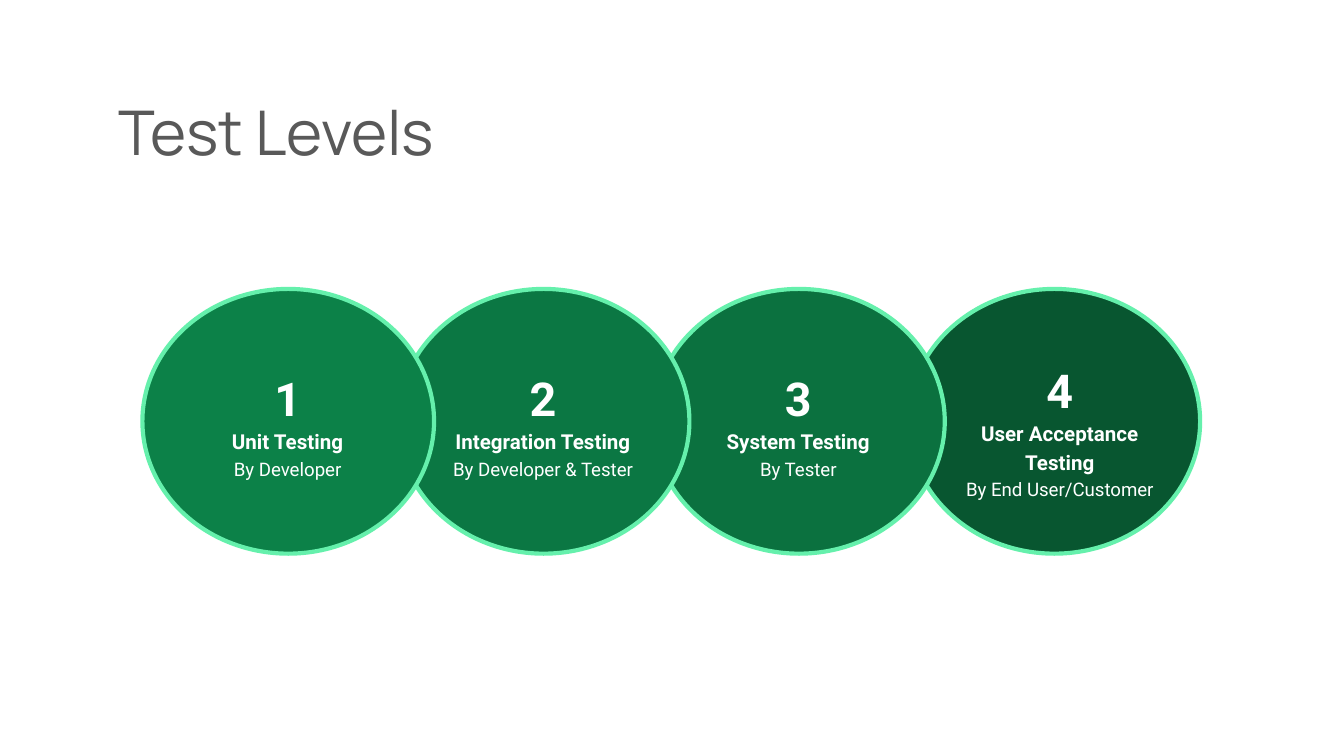
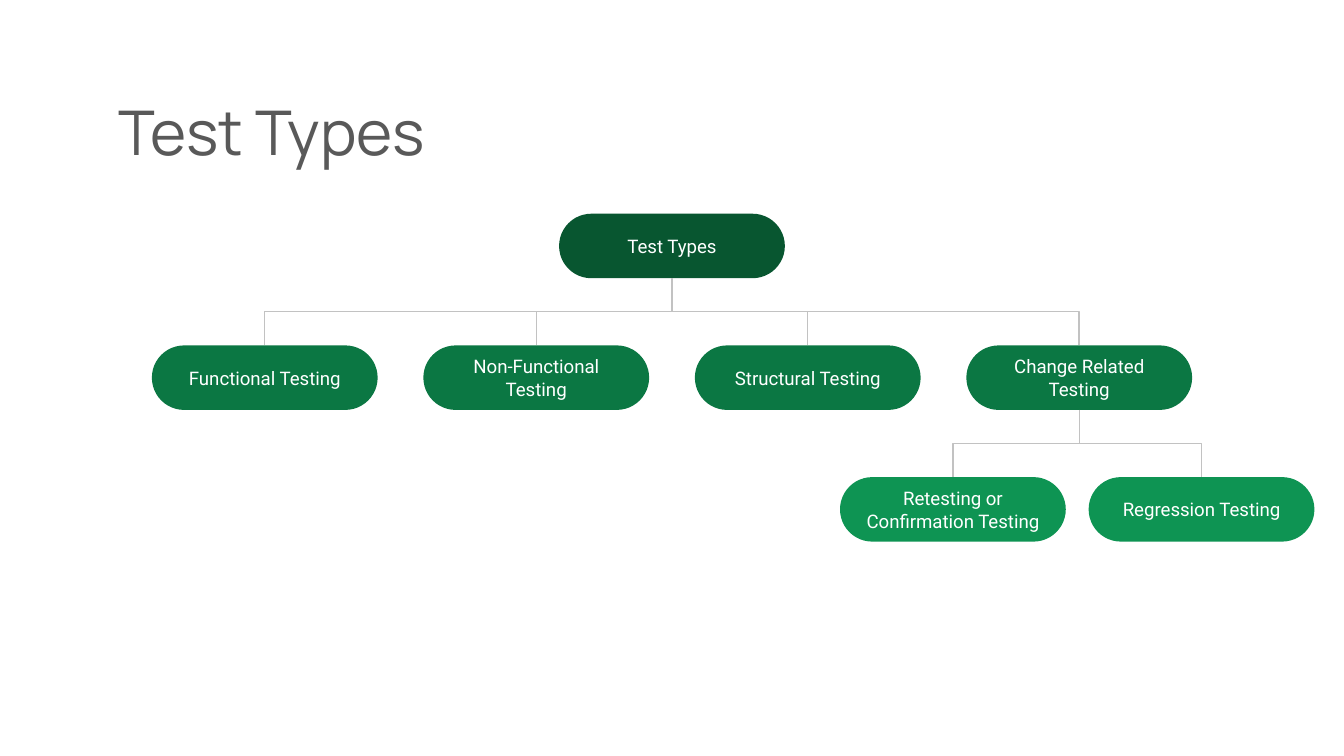
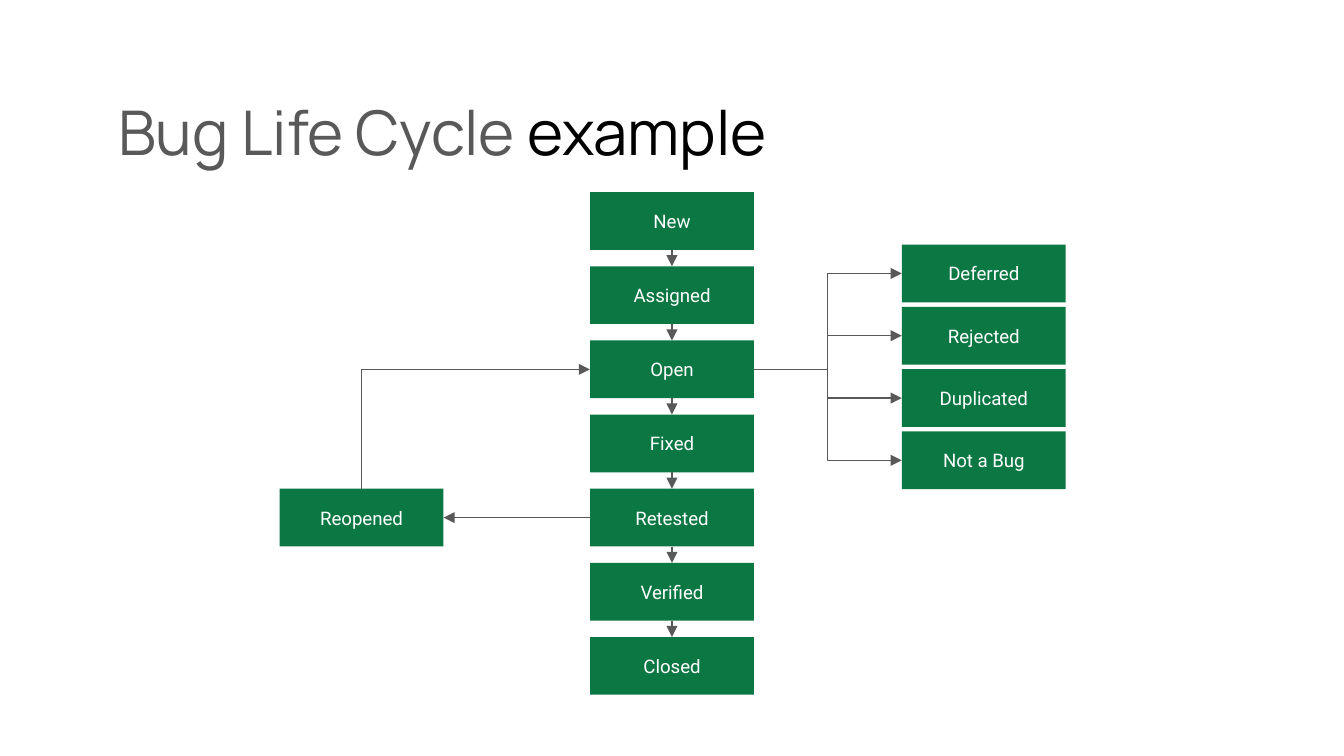
from pptx import Presentation
from pptx.dml.color import RGBColor
from pptx.enum.shapes import MSO_CONNECTOR, MSO_SHAPE
from pptx.enum.text import MSO_ANCHOR, MSO_AUTO_SIZE, PP_ALIGN
from pptx.oxml.ns import qn
from pptx.util import Inches, Pt
from lxml import etree

ELLIPSE, RECTANGLE, PILL = MSO_SHAPE.OVAL, MSO_SHAPE.RECTANGLE, MSO_SHAPE.ROUNDED_RECTANGLE
STRAIGHT, ELBOW = MSO_CONNECTOR.STRAIGHT, MSO_CONNECTOR.ELBOW
LEFT, CENTER = PP_ALIGN.LEFT, PP_ALIGN.CENTER
MIDDLE = MSO_ANCHOR.MIDDLE
NO_AUTO_SIZE = MSO_AUTO_SIZE.NONE
TOP_SITE, LEFT_SITE, BOTTOM_SITE, RIGHT_SITE = range(4)

WHITE = RGBColor(0xFF, 0xFF, 0xFF)
BLACK = RGBColor(0x00, 0x00, 0x00)
GRAY = RGBColor(0x59, 0x59, 0x59)
LIGHT_GRAY = RGBColor(0xC2, 0xC2, 0xC2)
MINT = RGBColor(0x65, 0xF0, 0xAC)
DARK_GREEN = RGBColor(0x08, 0x56, 0x30)
DEEP_GREEN = RGBColor(0x0B, 0x71, 0x3F)
GREEN = RGBColor(0x0B, 0x77, 0x43)
MEDIUM_GREEN = RGBColor(0x0C, 0x81, 0x48)
BRIGHT_GREEN = RGBColor(0x0E, 0x94, 0x53)

TITLE_FONT, BODY_FONT = "Manrope", "Roboto"
SLIDE_WIDTH = Inches(10)
SLIDE_HEIGHT = SLIDE_WIDTH * 9 // 16


def add_run(paragraph, text, *, size=10, color=WHITE, font=BODY_FONT, bold=False):
    run = paragraph.add_run()
    run.text = text
    run.font.size = Pt(size)
    run.font.name = font
    run.font.bold = bold
    run.font.color.rgb = color


class Deck:
    def __init__(self):
        self.presentation = Presentation()
        self.presentation.slide_width = SLIDE_WIDTH
        self.presentation.slide_height = SLIDE_HEIGHT
        self.slide = None

    def add_slide(self, *title_parts):
        self.slide = self.presentation.slides.add_slide(self.presentation.slide_layouts[5])
        title = self.slide.shapes.title
        title.left, title.top = Inches(0.81), Inches(0.51)
        title.width, title.height = Inches(8.38), Inches(1.06)
        self.format_frame(title.text_frame, 0.07, 0.04)
        paragraph = title.text_frame.paragraphs[0]
        paragraph.alignment = LEFT
        paragraph.line_spacing = 0.7
        for text, color in title_parts:
            add_run(paragraph, text, size=33, color=color, font=TITLE_FONT)

    def format_frame(self, frame, side, edge):
        frame.word_wrap = True
        frame.auto_size = NO_AUTO_SIZE
        frame.vertical_anchor = MIDDLE
        frame.margin_left = frame.margin_right = Inches(side)
        frame.margin_top = frame.margin_bottom = Inches(edge)

    def shape(self, kind, left, top, width, height, fill, *, outline=None, text=None):
        shape = self.slide.shapes.add_shape(
            kind, Inches(left), Inches(top), Inches(width), Inches(height))
        shape.shadow.inherit = False
        shape.fill.solid()
        shape.fill.fore_color.rgb = fill
        if outline is None:
            shape.line.fill.background()
        else:
            shape.line.color.rgb = outline
            shape.line.width = Pt(2.25)
        if kind == PILL:
            shape.adjustments[0] = 0.5
        if text:
            self.format_frame(shape.text_frame, 0.1, 0.1)
            paragraph = shape.text_frame.paragraphs[0]
            paragraph.alignment = CENTER
            add_run(paragraph, text)
        return shape

    def level_label(self, left, top, width, height, lines):
        box = self.slide.shapes.add_textbox(
            Inches(left), Inches(top), Inches(width), Inches(height))
        frame = box.text_frame
        self.format_frame(frame, 0.1, 0.1)
        formats = ((25, True), (11, True), (10, False))
        for index, (text, (size, bold)) in enumerate(zip(lines, formats)):
            paragraph = frame.add_paragraph() if index else frame.paragraphs[0]
            paragraph.alignment = CENTER
            paragraph.line_spacing = 1.15
            add_run(paragraph, text, size=size, bold=bold)
        return box

    def connect(self, kind, start, start_site, end, end_site, color, *, arrow=False):
        connector = self.slide.shapes.add_connector(kind, 0, 0, 0, 0)
        connector.begin_connect(start, start_site)
        connector.end_connect(end, end_site)
        connector.line.color.rgb = color
        connector.line.width = Pt(0.75)
        properties = connector._element.spPr
        if arrow:
            etree.SubElement(properties.find(qn("a:ln")), qn("a:tailEnd"), type="triangle")
        etree.SubElement(properties, qn("a:effectLst"))
        if kind == ELBOW and start_site in (TOP_SITE, BOTTOM_SITE):
            self.turn_upright(connector)
            if end_site in (LEFT_SITE, RIGHT_SITE):
                properties.find(qn("a:prstGeom")).set("prst", "bentConnector2")

    def turn_upright(self, connector):
        center_x = (connector.begin_x + connector.end_x) // 2
        center_y = (connector.begin_y + connector.end_y) // 2
        half_x = (connector.end_x - connector.begin_x) // 2
        half_y = (connector.end_y - connector.begin_y) // 2
        direction, degrees = (1, 90) if half_y > 0 else (-1, 270)
        connector.begin_x = center_x - direction * half_y
        connector.begin_y = center_y + direction * half_x
        connector.end_x = center_x + direction * half_y
        connector.end_y = center_y - direction * half_x
        connector._element.spPr.find(qn("a:xfrm")).set("rot", str(degrees * 60000))


def build_levels(deck):
    deck.add_slide(("Test Levels", GRAY))
    levels = (
        ("Unit Testing", "By Developer", MEDIUM_GREEN),
        ("Integration Testing", "By Developer & Tester", GREEN),
        ("System Testing", "By Tester", DEEP_GREEN),
        ("User Acceptance Testing", "By End User/Customer", DARK_GREEN),
    )
    lefts = [1.06 + 1.9 * index for index in range(len(levels))]
    for left, (_, _, fill) in reversed(list(zip(lefts, levels))):
        deck.shape(ELLIPSE, left, 2.15, 2.17, 1.97, fill, outline=MINT)
    label_places = [(left + 0.24, 2.58, 1.68, 1.1) for left in lefts[:3]]
    label_places.append((6.94, 2.41, 1.89, 1.53))
    for number, (place, (name, tester, fill)) in enumerate(zip(label_places, levels), 1):
        label = deck.level_label(*place, (str(number), name, tester))
        if number == 1:
            label.fill.solid()
            label.fill.fore_color.rgb = fill
            color = label._element.spPr.find(qn("a:solidFill"))[0]
            etree.SubElement(color, qn("a:alpha"), val="82000")


def build_types(deck):
    deck.add_slide(("Test Types", GRAY))

    def type_box(center, top, fill, text):
        return deck.shape(PILL, center - 0.84, top, 1.68, 0.48, fill, text=text)

    def branch(parent, children):
        for child in children:
            deck.connect(ELBOW, parent, BOTTOM_SITE, child, TOP_SITE, LIGHT_GRAY)

    root = type_box(5, 1.59, DARK_GREEN, "Test Types")
    names = ("Functional Testing", "Non-Functional Testing",
             "Structural Testing", "Change Related Testing")
    types = [type_box(1.97 + 2.02 * index, 2.57, GREEN, name)
             for index, name in enumerate(names)]
    change_types = [
        type_box(7.09, 3.55, BRIGHT_GREEN, "Retesting or Confirmation Testing"),
        type_box(8.94, 3.55, BRIGHT_GREEN, "Regression Testing"),
    ]
    branch(root, types)
    branch(types[-1], change_types)


def build_life_cycle(deck):
    deck.add_slide(("Bug Life Cycle ", GRAY), ("example", BLACK))

    def state_box(left, top, text):
        return deck.shape(RECTANGLE, left, top, 1.22, 0.43, GREEN, text=text)

    def arrow(kind, start, start_site, end, end_site):
        deck.connect(kind, start, start_site, end, end_site, GRAY, arrow=True)

    names = ("New", "Assigned", "Open", "Fixed", "Retested", "Verified", "Closed")
    tops = [1.43 + 3.31 * index / 6 for index in range(len(names))]
    states = {name: state_box(4.39, top, name) for name, top in zip(names, tops)}
    reopened = state_box(2.08, tops[names.index("Retested")], "Reopened")
    outcomes = [state_box(6.71, 1.82 + 1.39 * index / 3, name) for index, name in
                enumerate(("Deferred", "Rejected", "Duplicated", "Not a Bug"))]
    for name, following in zip(names, names[1:]):
        arrow(STRAIGHT, states[name], BOTTOM_SITE, states[following], TOP_SITE)
    arrow(STRAIGHT, states["Retested"], LEFT_SITE, reopened, RIGHT_SITE)
    arrow(ELBOW, reopened, TOP_SITE, states["Open"], LEFT_SITE)
    for outcome in outcomes:
        arrow(ELBOW, states["Open"], RIGHT_SITE, outcome, LEFT_SITE)


def main():
    deck = Deck()
    build_levels(deck)
    build_types(deck)
    build_life_cycle(deck)
    deck.presentation.save("out.pptx")


if __name__ == "__main__":
    main()
